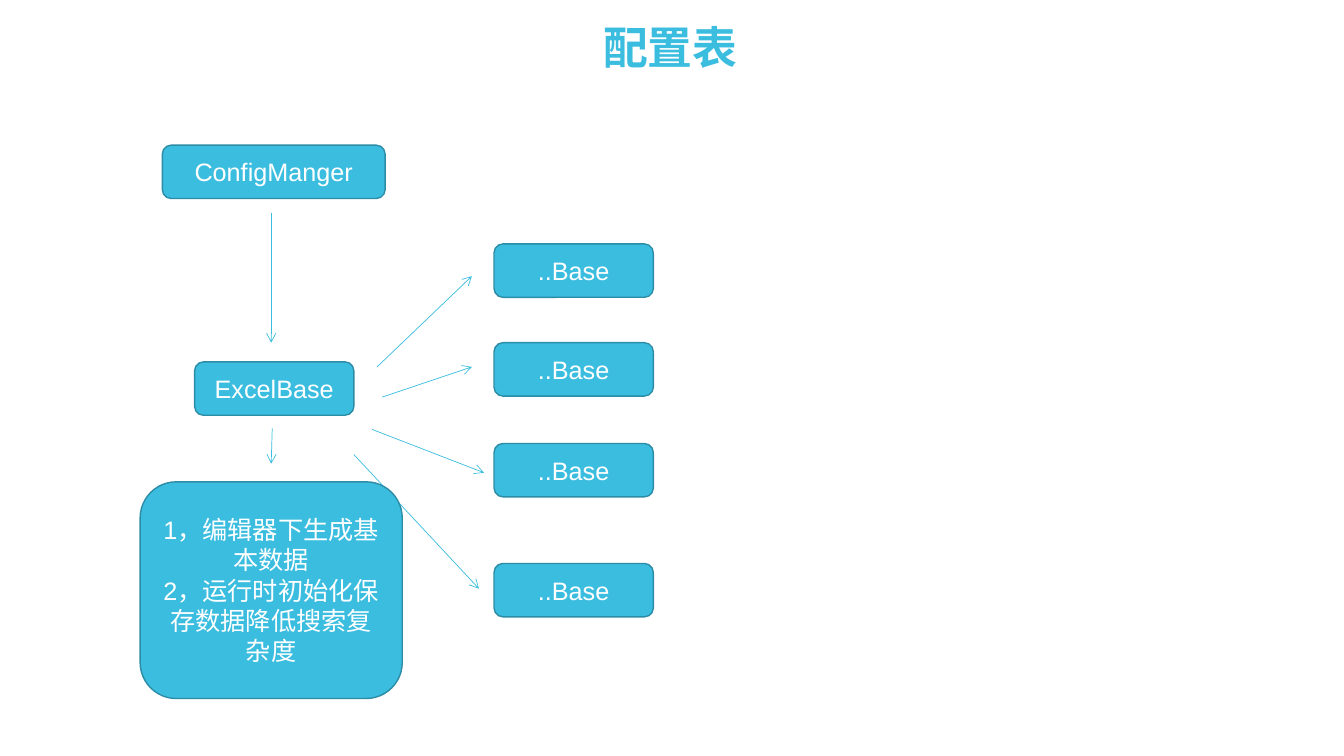
from dataclasses import dataclass

from lxml import etree
from pptx import Presentation, util as u
from pptx.dml.color import RGBColor
from pptx.enum import shapes, text
from pptx.oxml.ns import qn


@dataclass(frozen=True)
class Theme:
    """Colours, type, line widths and grid of the deck."""
    accent: str = "3BBDE0"
    outline: str = "2C8CA6"
    paper: str = "FFFFFF"
    title_font: str = "Roboto"
    body_font: str = "Arial"
    title_size: int = 32
    body_size: int = 18
    box_line: float = 1
    arrow_line: float = 0.5
    cell: float = 0.1
    node: tuple = (15.8, 5.3)


T = Theme()


def rgb(value):
    """Turn a hex string into a colour."""
    return RGBColor.from_string(value)


def grid(*cells):
    """Turn grid cells into lengths."""
    return [u.Inches(c * T.cell) for c in cells]


def write(sp, lines, *, size=T.body_size, font=T.body_font, color=T.paper,
          bold=False, spacing=None):
    """Fill a shape with centred paragraphs."""
    tf = sp.text_frame
    tf.word_wrap = True
    tf.vertical_anchor = text.MSO_ANCHOR.MIDDLE
    for i, line in enumerate(lines):
        p = tf.add_paragraph() if i else tf.paragraphs[0]
        p.alignment = text.PP_ALIGN.CENTER
        p.line_spacing = spacing
        r = p.add_run()
        r.text = line
        r.font.size, r.font.bold, r.font.name = u.Pt(size), bold, font
        r.font.color.rgb = rgb(color)
        etree.SubElement(r.font._element, qn("a:ea")).set("typeface", font)


def node(s, box, x, y, lines, size=T.node):
    """Place a rounded box relative to its region."""
    sp = s.shapes.add_shape(shapes.MSO_SHAPE.ROUNDED_RECTANGLE,
                            *grid(box[0] + x, box[1] + y, *size))
    sp.shadow.inherit = False
    sp.fill.solid()
    sp.fill.fore_color.rgb = rgb(T.accent)
    sp.line.color.rgb = rgb(T.outline)
    sp.line.width = u.Pt(T.box_line)
    write(sp, lines)


def arrow(s, box, x1, y1, x2, y2):
    """Draw an open-headed arrow relative to its region."""
    left, top = box[:2]
    cx = s.shapes.add_connector(shapes.MSO_CONNECTOR.STRAIGHT,
                                *grid(left + x1, top + y1, left + x2, top + y2))
    cx.line.color.rgb = rgb(T.accent)
    cx.line.width = u.Pt(T.arrow_line)
    etree.SubElement(cx.line._get_or_add_ln(), qn("a:tailEnd")).set("type", "arrow")
    etree.SubElement(cx._element.spPr, qn("a:effectLst"))


def title(s, box, heading):
    """Write the slide heading."""
    sp = s.shapes.add_textbox(*grid(*box))
    write(sp, [heading], size=T.title_size, font=T.title_font,
          color=T.accent, bold=True, spacing=0.9)


def base_tables(s, box):
    """Place the table classes and the arrows fanning out to them."""
    for y in (0, 9.8, 19.8, 31.7):
        node(s, box, box[2] - T.node[0], y, ["..Base"])
    for ends in ((2.4, 12.2, 11.8, 3.2), (2.9, 15.2, 11.8, 12.2),
                 (1.9, 18.4, 13, 22.7), (0.1, 20.9, 12.5, 34.2)):
        arrow(s, box, *ends)


def manager_chain(s, box):
    """Place the manager, its base class and the notes below it."""
    mid = box[2] / 2
    node(s, box, 2.2, 0, ["ConfigManger"], (22.1, T.node[1]))
    node(s, box, 5.4, 21.5, ["ExcelBase"])
    arrow(s, box, mid, 6.7, mid, 19.6)
    node(s, box, 0, 33.4,
         ["1，编辑器下生成基本数据", "2，运行时初始化保存数据降低搜索复杂度"],
         (box[2], box[3] - 33.4))
    arrow(s, box, mid + 0.1, 28.1, mid, 31.6)


def main():
    """Build and save the deck."""
    prs = Presentation()
    prs.slide_width, prs.slide_height = u.Inches(13.33), u.Inches(7.5)
    s = prs.slides.add_slide(prs.slide_layouts[6])
    s.background.fill.solid()
    s.background.fill.fore_color.rgb = rgb(T.paper)
    title(s, (9, 2.7, 115, 4.5), "配置表")
    base_tables(s, (35, 24.2, 29.8, 37))
    manager_chain(s, (13.9, 14.4, 26, 54.9))
    prs.save("out.pptx")


if __name__ == "__main__":
    main()
